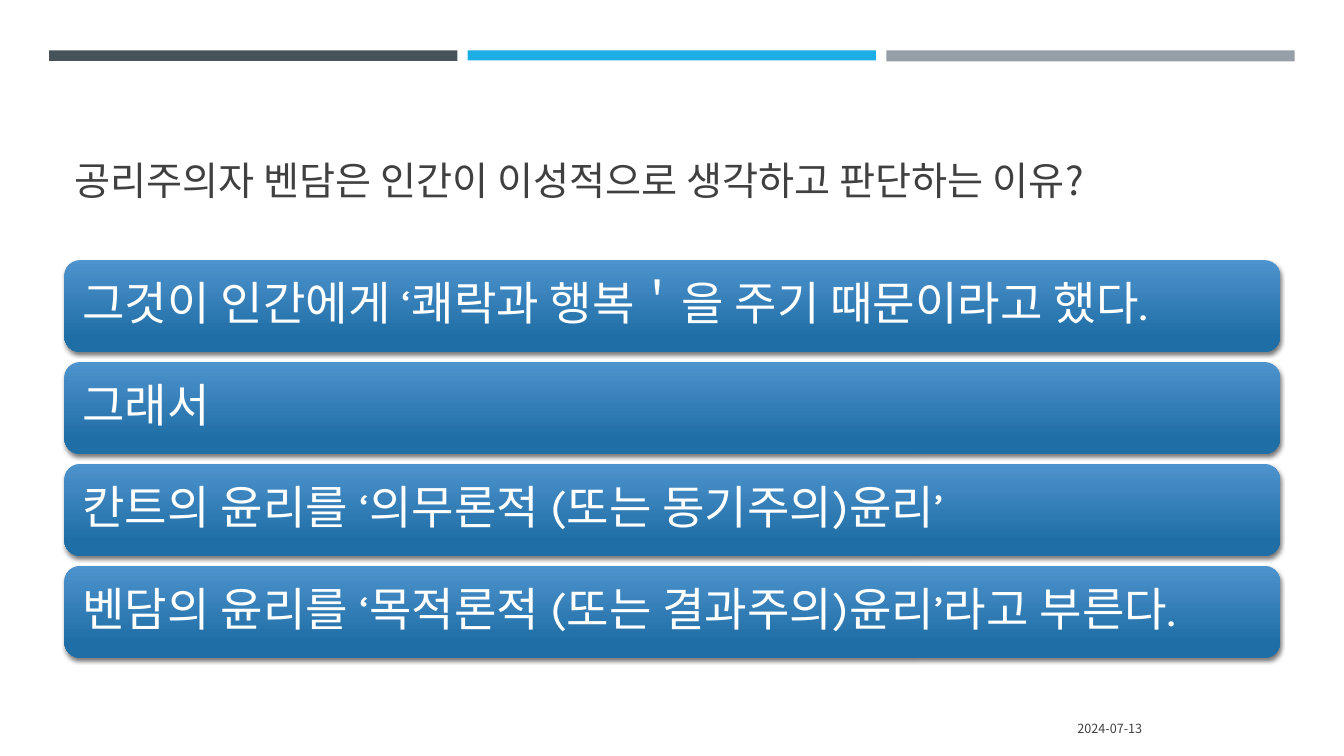
from lxml import etree
from pptx import Presentation
from pptx import util as u
from pptx.dml.color import RGBColor
from pptx.enum import shapes, text
from pptx.oxml import ns

SANS = "Noto Sans CJK KR"
EAST = "Karla"
GREY = "404040"
LEFT, WIDE = 46.1, 868.3


def paint(code):
    return RGBColor.from_string(code)


def write(frame, words, size, color, face=SANS, align=text.PP_ALIGN.LEFT,
          anchor=text.MSO_ANCHOR.MIDDLE, inset=(7.2, 3.6), after=0, line=1):
    frame.word_wrap = True
    frame.auto_size = text.MSO_AUTO_SIZE.NONE
    frame.vertical_anchor = anchor
    frame.margin_left = frame.margin_right = u.Pt(inset[0])
    frame.margin_top = frame.margin_bottom = u.Pt(inset[1])
    para = frame.paragraphs[0]
    para.alignment = align
    para.space_after = u.Pt(after)
    para.line_spacing = line
    run = para.add_run()
    run.text = words
    run.font.size = u.Pt(size)
    run.font.color.rgb = paint(color)
    run.font.name = face
    # Spaces and quotes between Hangul take the East Asian font
    east = etree.SubElement(run.font._element, ns.qn("a:ea"))
    east.set("typeface", EAST)


class Deck:
    def __init__(self):
        self.show = Presentation()
        self.show.slide_width, self.show.slide_height = u.Pt(960), u.Pt(540)
        self.page = self.show.slides.add_slide(self.show.slide_layouts[5])

    def shape(self, kind, *box):
        item = self.page.shapes.add_shape(kind, *map(u.Pt, box))
        item.shadow.inherit = False
        item.line.fill.background()
        return item

    def bar(self, color, *box):
        item = self.shape(shapes.MSO_SHAPE.RECTANGLE, *box)
        item.fill.solid()
        item.fill.fore_color.rgb = paint(color)

    def title(self, words, *box):
        item = self.page.shapes.title
        item.left, item.top, item.width, item.height = map(u.Pt, box)
        write(item.text_frame, words, 28, GREY,
              anchor=text.MSO_ANCHOR.BOTTOM)

    def label(self, words, *box):
        item = self.page.shapes.add_textbox(*map(u.Pt, box))
        write(item.text_frame, words, 9, GREY,
              align=text.PP_ALIGN.RIGHT, after=6)

    def card(self, words, *box):
        item = self.shape(shapes.MSO_SHAPE.ROUNDED_RECTANGLE, *box)
        item.fill.gradient()
        item.fill.gradient_angle = 270
        stops = zip(item.fill.gradient_stops,
                    (("4D93CD", 0), ("206EA6", 0.84)))
        for stop, (color, place) in stops:
            stop.color.rgb = paint(color)
            stop.position = place
        self.shade(item)
        write(item.text_frame, words, 33, "FFFFFF", face="Karla",
              inset=(9.6, 9.6), after=11.55, line=0.9)

    def shade(self, item):
        glow = item._element.spPr.find(ns.qn("a:effectLst"))
        drop = etree.SubElement(
            glow, ns.qn("a:outerShdw"), blurRad=str(u.Pt(3)),
            dist=str(u.Pt(2)), dir="5400000", algn="ctr", rotWithShape="0")
        tint = etree.SubElement(drop, ns.qn("a:srgbClr"), val="000000")
        etree.SubElement(tint, ns.qn("a:alpha"), val="55000")


def main():
    deck = Deck()

    # Top bars
    bars = (("465359", 7.5), ("1CADE4", 7.2), ("969FA7", 7.9))
    for i, (color, high) in enumerate(bars):
        deck.bar(color, 35.1 + i * 299, 36, 291.6, high)

    # Title and date
    deck.title("공리주의자 벤담은 인간이 이성적으로 생각하고 판단하는 이유?",
               LEFT, 55.4, WIDE, 93.6)
    deck.label("2024-07-13", 599, 506.2, 223.9, 28.8)

    # Stacked cards
    cards = (
        "그것이 인간에게 ‘쾌락과 행복＇을 주기 때문이라고 했다.",
        "그래서",
        "칸트의 윤리를 ‘의무론적 (또는 동기주의)윤리’",
        "벤담의 윤리를 ‘목적론적 (또는 결과주의)윤리’라고 부른다.",
    )
    for i, words in enumerate(cards):
        deck.card(words, LEFT, 185.8 + i * 72.8, WIDE, 65.5)

    deck.show.save("out.pptx")


if __name__ == "__main__":
    main()
